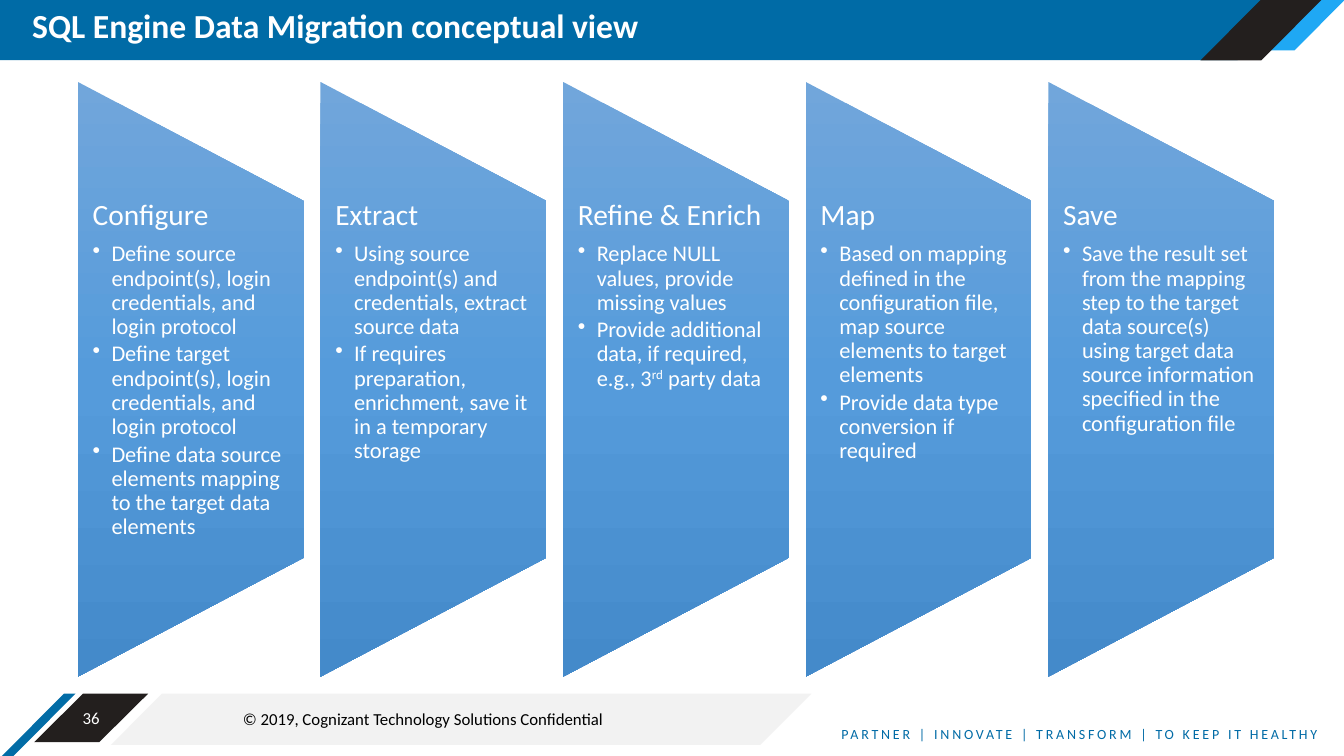
import copy
import dataclasses

import pptx
import pptx.dml.color
import pptx.enum.shapes
import pptx.enum.text
import pptx.oxml
import pptx.oxml.ns
import pptx.util

Pt = pptx.util.Pt
SHAPE = pptx.enum.shapes.MSO_SHAPE
ALIGN = pptx.enum.text.PP_ALIGN
ANCHOR = pptx.enum.text.MSO_ANCHOR

# Content: text between two ^ signs is superscript
TITLE = "SQL Engine Data Migration conceptual view"
PAGE_NUMBER = "36"
COPYRIGHT = "© 2019, Cognizant Technology Solutions Confidential"
TAGLINE = "PARTNER | INNOVATE | TRANSFORM | TO KEEP IT HEALTHY"
STEPS = [
    ("Configure", [
        "Define source endpoint(s), login credentials, and login protocol",
        "Define target endpoint(s), login credentials, and login protocol",
        "Define data source elements mapping to the target data elements",
    ]),
    ("Extract", [
        "Using source endpoint(s) and credentials, extract source data",
        "If requires preparation, enrichment, save it in a temporary storage",
    ]),
    ("Refine & Enrich", [
        "Replace NULL values, provide missing values",
        "Provide additional data, if required, e.g., 3^rd^ party data",
    ]),
    ("Map", [
        "Based on mapping defined in the configuration file, map source "
        "elements to target elements",
        "Provide data type conversion if required",
    ]),
    ("Save", [
        "Save the result set from the mapping step to the target data source(s) "
        "using target data source information specified in the configuration file",
    ]),
]


@dataclasses.dataclass(frozen=True)
class Theme:
    font: str = "Calibri"
    title: float = 24
    heading: float = 21
    body: float = 16
    footer: float = 12
    tagline: float = 10
    white: str = "FFFFFF"
    black: str = "000000"
    blue: str = "006BA6"
    stripe: str = "026CA6"
    sky: str = "1FA8F4"
    dark: str = "231F1E"
    grey: str = "F2F2F2"
    gradient: tuple = ((0, "71A6DB"), (0.5, "559BDB"), (1, "448ACA"))


THEME = Theme()

# Slanted bars: left, top, width, height, slant, colour
FOOTER_BAR = (79.2, 495.4, 500.4, 36.7, 0.995, THEME.grey)
FOOTER_STRIPE = (1.4, 495.4, 52.6, 44.6, 0.995, THEME.stripe)
HEADER_SKY = (900.7, 0, 59.8, 36, 0.995, THEME.sky)
HEADER_DARK = (857.5, 0, 86.4, 43.2, 0.995, THEME.dark)
NUMBER_BAR = (24.5, 495.4, 81.4, 34.6, 1.009, THEME.dark)
BANNER = [(0, 0), (913.7, 0), (884.2, 23.8), (884.2, 43.2), (0, 43.2)]

# Step columns
COLUMN_LEFT, COLUMN_PITCH, COLUMN_WIDTH = 55.6, 173.3, 161.3
COLUMN_HEIGHT, COLUMN_MIDDLE = 424.8, 270.9
TEXT_TOP, TEXT_HEIGHT = 143.3, 254.9
INDENT = 13.5


def colour(code):
    return pptx.dml.color.RGBColor.from_string(code)


def paint(shape, code):
    shape.shadow.inherit = False
    shape.line.fill.background()
    shape.fill.solid()
    shape.fill.fore_color.rgb = colour(code)


def add_bar(page, left, top, width, height, slant, code):
    bar = page.shapes.add_shape(
        SHAPE.PARALLELOGRAM, Pt(left), Pt(top), Pt(width), Pt(height))
    bar.adjustments[0] = slant
    paint(bar, code)
    return bar


def add_box(page, left, top, width, height, wrap=True):
    box = page.shapes.add_textbox(Pt(left), Pt(top), Pt(width), Pt(height))
    box.text_frame.word_wrap = wrap
    return box.text_frame


def set_margins(frame, side):
    frame.margin_left = frame.margin_right = Pt(side)
    frame.margin_top = frame.margin_bottom = 0


def write(para, text, size, code, bold=False, spacing=None):
    for index, part in enumerate(text.split("^")):
        span = para.add_run()
        span.text = part
        span.font.name = THEME.font
        span.font.size = Pt(size)
        span.font.bold = bold
        span.font.color.rgb = colour(code)
        properties = span.font._element
        if index % 2:
            properties.set("baseline", "30000")
        if spacing:
            properties.set("spc", str(spacing * 100))


def add_bullet(para):
    properties = para._p.get_or_add_pPr()
    properties.set("marL", str(Pt(INDENT)))
    properties.set("indent", str(-Pt(INDENT)))
    properties.append(pptx.oxml.parse_xml(
        '<a:buChar %s char="•"/>' % pptx.oxml.ns.nsdecls("a")))


def add_column(page, left, heading, bullets):
    # The preset lies on its side, so it is turned about its centre
    panel = page.shapes.add_shape(
        SHAPE.FLOWCHART_MANUAL_OPERATION,
        Pt(left + (COLUMN_WIDTH - COLUMN_HEIGHT) / 2),
        Pt(COLUMN_MIDDLE - COLUMN_WIDTH / 2),
        Pt(COLUMN_HEIGHT), Pt(COLUMN_WIDTH))
    panel.rotation = 270
    panel.shadow.inherit = False
    panel.line.fill.background()
    panel.fill.gradient()
    panel.fill.gradient_angle = 270
    gradient = panel._element.spPr.find(pptx.oxml.ns.qn("a:gradFill"))
    gradient.set("rotWithShape", "0")
    stops = gradient.find(pptx.oxml.ns.qn("a:gsLst"))
    stops.append(copy.deepcopy(stops[0]))
    for stop, (position, code) in zip(panel.fill.gradient_stops, THEME.gradient):
        stop.position = position
        stop.color.rgb = colour(code)

    frame = add_box(page, left, TEXT_TOP, COLUMN_WIDTH, TEXT_HEIGHT)
    set_margins(frame, 10.6)
    para = frame.paragraphs[0]
    para.line_spacing = 0.9
    para.space_after = Pt(7.35)
    write(para, heading, THEME.heading, THEME.white)
    for bullet in bullets:
        para = frame.add_paragraph()
        add_bullet(para)
        para.line_spacing = 0.9
        para.space_after = Pt(2.4)
        write(para, bullet, THEME.body, THEME.white)


def main():
    deck = pptx.Presentation()
    deck.slide_width, deck.slide_height = Pt(960), Pt(540)
    page = deck.slides.add_slide(deck.slide_layouts[5])

    # Header and footer bars
    add_bar(page, *FOOTER_BAR)
    add_bar(page, *FOOTER_STRIPE)
    builder = page.shapes.build_freeform(*BANNER[0], scale=Pt(1))
    builder.add_line_segments(BANNER[1:], close=True)
    paint(builder.convert_to_shape(), THEME.blue)
    add_bar(page, *HEADER_SKY)
    add_bar(page, *HEADER_DARK)

    # Page number
    frame = add_bar(page, *NUMBER_BAR).text_frame
    set_margins(frame, 0)
    frame.vertical_anchor = ANCHOR.MIDDLE
    frame.paragraphs[0].alignment = ALIGN.CENTER
    write(frame.paragraphs[0], PAGE_NUMBER, THEME.footer, THEME.white)

    # Footer texts
    frame = add_box(page, 594, 514.8, 364.3, 19.4, wrap=False)
    write(frame.paragraphs[0], TAGLINE, THEME.tagline, THEME.blue, spacing=2)
    frame = add_box(page, 166.3, 509, 301.7, 18)
    frame.paragraphs[0].line_spacing = 0.5
    write(frame.paragraphs[0], COPYRIGHT, THEME.footer, THEME.black)

    # Title, brought in front of the banner
    title = page.shapes.title
    title.left, title.top, title.width, title.height = (
        Pt(15.8), Pt(-2.2), Pt(845.3), Pt(43.2))
    title._element.getparent().append(title._element)
    title.text_frame.auto_size = pptx.enum.text.MSO_AUTO_SIZE.NONE
    title.text_frame.vertical_anchor = ANCHOR.MIDDLE
    para = title.text_frame.paragraphs[0]
    para.alignment = ALIGN.LEFT
    para.line_spacing = 0.9
    write(para, TITLE, THEME.title, THEME.white, bold=True)

    # Steps
    for index, (heading, bullets) in enumerate(STEPS):
        add_column(page, COLUMN_LEFT + index * COLUMN_PITCH, heading, bullets)

    deck.save("out.pptx")


if __name__ == "__main__":
    main()
